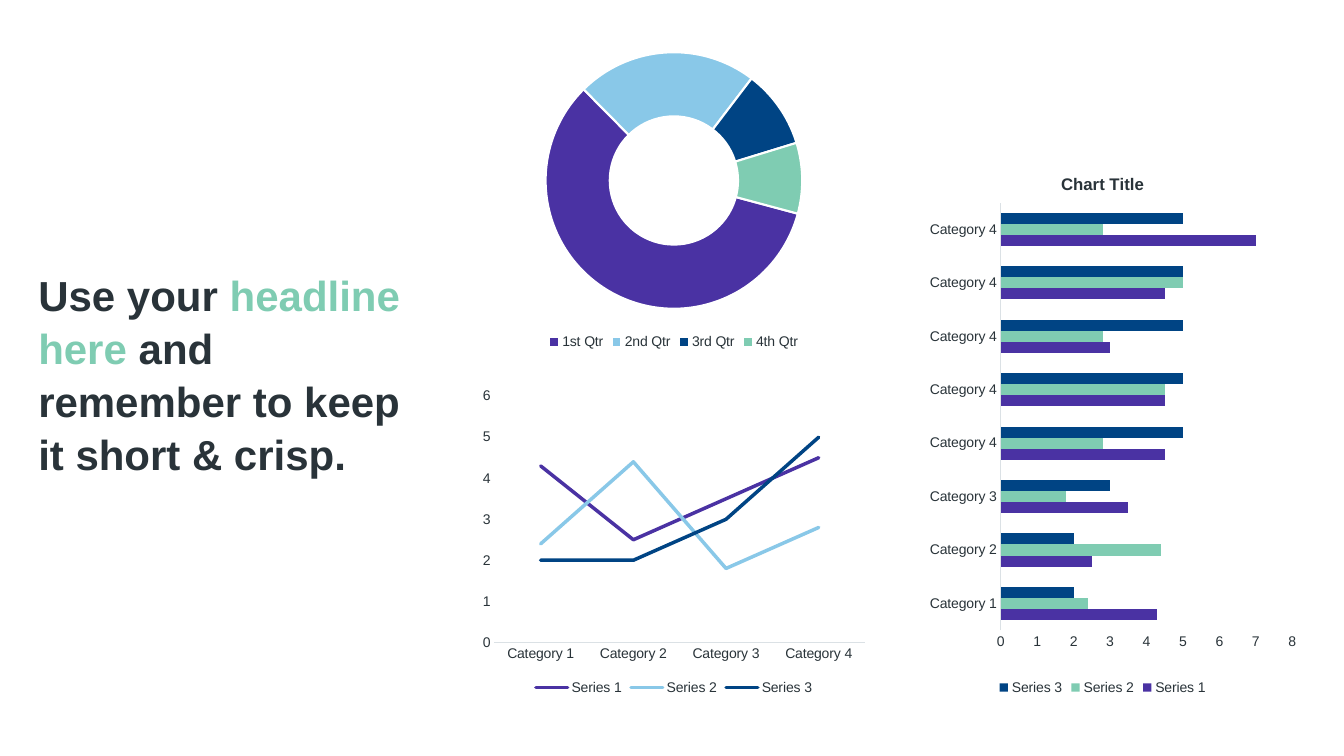
from lxml import etree
from pptx import Presentation
from pptx import util as u
from pptx.chart.data import CategoryChartData
from pptx.dml.color import RGBColor
from pptx.enum import chart as ch
from pptx.oxml.ns import qn

INK, MINT, PURPLE, SKY, NAVY, RULE, WHITE = (
    "293339", "7FCCB2", "4A32A3", "89C8E8", "004484", "DBE1E5", "FFFFFF")


def rgb(value):
    return RGBColor.from_string(value)


class Deck:
    """Holds the text style and current slide; lengths are percent of the slide."""

    font, ink = "Arial", INK

    def __init__(self, width, height):
        self.show = Presentation()
        self.show.slide_width, self.show.slide_height = u.Inches(width), u.Inches(height)
        self.slide = self.show.slides.add_slide(self.show.slide_layouts[6])

    def place(self, left, top, width, height):
        across, down = self.show.slide_width / 100, self.show.slide_height / 100
        return int(left * across), int(top * down), int(width * across), int(height * down)

    def style(self, font, size, color=None, bold=False):
        font.name, font.size, font.bold = self.font, u.Pt(size), bold
        font.color.rgb = rgb(color or self.ink)

    def headline(self, area, runs, size, spacing):
        frame = self.slide.shapes.add_textbox(*self.place(*area)).text_frame
        frame.word_wrap = True
        frame.margin_left = frame.margin_right = frame.margin_top = frame.margin_bottom = 0
        sentence = frame.paragraphs[0]
        sentence.line_spacing = spacing
        for words, color in runs:
            run = sentence.add_run()
            run.text = words
            self.style(run.font, size, color, True)

    def chart(self, kind, area, categories, series, title=None):
        data = CategoryChartData()
        data.categories = categories
        for name, values in series:
            data.add_series(name, values)
        chart = self.slide.shapes.add_chart(kind, *self.place(*area), data).chart
        self.style(chart.font, 10)
        chart.has_legend = True
        chart.legend.position = ch.XL_LEGEND_POSITION.BOTTOM
        chart.legend.include_in_layout = False
        self.style(chart.legend.font, 10)
        chart.has_title = bool(title)
        if title:
            run = chart.chart_title.text_frame.paragraphs[0].add_run()
            run.text = title
            self.style(run.font, 12, bold=True)
        return chart

    def axes(self, chart, top):
        for axis in (chart.category_axis, chart.value_axis):
            axis.major_tick_mark = axis.minor_tick_mark = ch.XL_TICK_MARK.NONE
            axis.has_major_gridlines = False
            self.style(axis.tick_labels.font, 10)
        chart.category_axis.format.line.color.rgb = rgb(RULE)
        chart.category_axis.format.line.width = u.Pt(0.75)
        scale = chart.value_axis
        scale.format.line.fill.background()
        scale.minimum_scale, scale.maximum_scale, scale.major_unit = 0, top, 1

    def bars(self, area, categories, series, colors, title, top, plot_area):
        chart = self.chart(ch.XL_CHART_TYPE.BAR_CLUSTERED, area, categories, series, title)
        self.axes(chart, top)
        plot = chart.plots[0]
        plot.gap_width, plot.overlap, plot.vary_by_categories = 182, 0, False
        for bar, color in zip(plot.series, colors):
            bar.format.fill.solid()
            bar.format.fill.fore_color.rgb = rgb(color)
        plot_node = chart.element.find(".//" + qn("c:plotArea"))
        for old in plot_node.findall(qn("c:layout")):
            plot_node.remove(old)
        layout = etree.Element(qn("c:layout"))
        manual = etree.SubElement(layout, qn("c:manualLayout"))
        settings = [("layoutTarget", "inner"), ("xMode", "edge"), ("yMode", "edge")]
        for tag, value in settings + list(zip("xywh", plot_area)):
            etree.SubElement(manual, qn("c:" + tag)).set("val", str(value))
        plot_node.insert(0, layout)

    def lines(self, area, categories, series, colors, top):
        chart = self.chart(ch.XL_CHART_TYPE.LINE, area, categories, series)
        self.axes(chart, top)
        chart.plots[0].vary_by_categories = False
        for trend, color in zip(chart.plots[0].series, colors):
            trend.smooth = False
            trend.marker.style = ch.XL_MARKER_STYLE.NONE
            trend.format.line.color.rgb = rgb(color)
            trend.format.line.width = u.Pt(2.5)
        for stroke in chart.element.xpath(".//c:ser/c:spPr/a:ln"):
            stroke.set("cap", "rnd")

    def ring(self, area, categories, series, colors, start, hole):
        chart = self.chart(ch.XL_CHART_TYPE.DOUGHNUT, area, categories, series)
        plot = chart.plots[0]
        plot.vary_by_categories = True
        for index, color in enumerate(colors):
            segment = plot.series[0].points[index].format
            segment.fill.solid()
            segment.fill.fore_color.rgb = rgb(color)
            segment.line.color.rgb = rgb(WHITE)
            segment.line.width = u.Pt(1.5)
        doughnut = chart.element.find(".//" + qn("c:doughnutChart"))
        for tag, value in (("firstSliceAng", start), ("holeSize", hole)):
            node = doughnut.find(qn("c:" + tag))
            if node is None:
                node = etree.SubElement(doughnut, qn("c:" + tag))
            node.set("val", str(value))


def main():
    deck = Deck(13.33, 7.5)
    deck.headline((2.85, 35.33, 28.36, 57.07), [
        ("Use your ", INK), ("headline here ", MINT),
        ("and remember to keep it short & crisp.", INK)], size=30, spacing=1.05)

    quarters = ["Category 1", "Category 2", "Category 3", "Category 4"]
    trends = [("Series 1", [4.3, 2.5, 3.5, 4.5]),
              ("Series 2", [2.4, 4.4, 1.8, 2.8]),
              ("Series 3", [2, 2, 3, 5])]
    later = [[4.5, 3, 4.5, 7], [4.5, 2.8, 5, 2.8], [5] * 4]
    extended = [(name, values + more) for (name, values), more in zip(trends, later)]

    deck.bars((67, 20.4, 30.08, 72.13), quarters + ["Category 4"] * 4, extended,
              [PURPLE, MINT, NAVY], "Chart Title", top=8,
              plot_area=(0.248, 0.089, 0.721, 0.784))
    deck.ring((35.33, 5.07, 29.63, 41.73), ["1st Qtr", "2nd Qtr", "3rd Qtr", "4th Qtr"],
              [("Series 1", [59, 23, 10, 9])], [PURPLE, SKY, NAVY, MINT],
              start=105, hole=65)
    deck.lines((35.33, 50.53, 29.63, 42), quarters, trends, [PURPLE, SKY, NAVY], top=6)
    deck.show.save("out.pptx")


if __name__ == "__main__":
    main()
